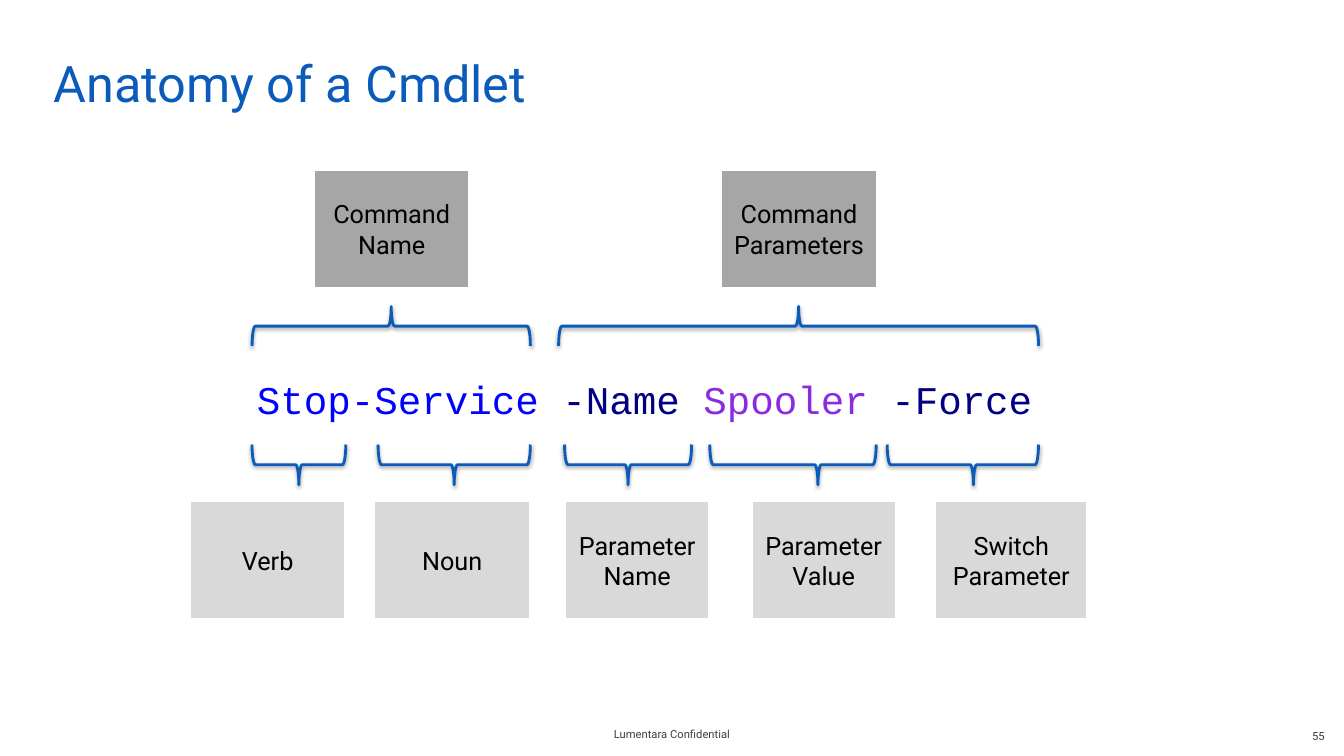
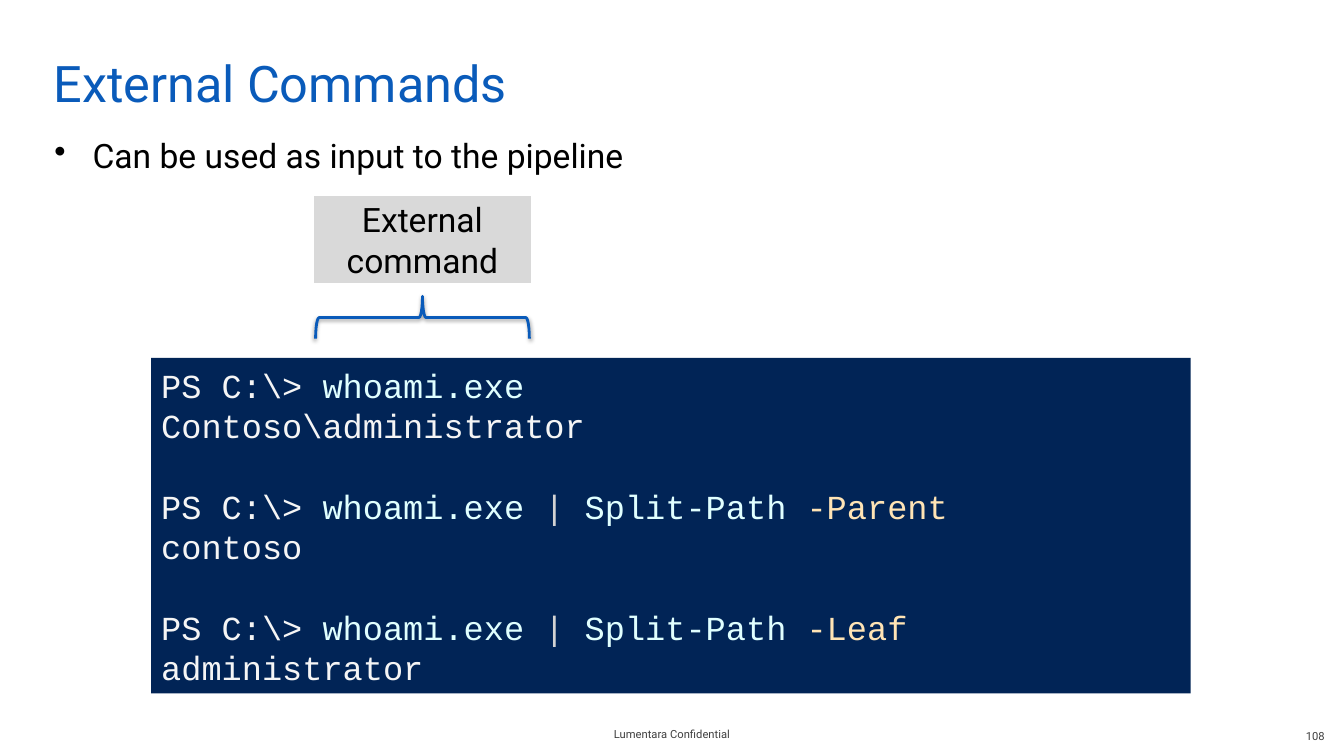
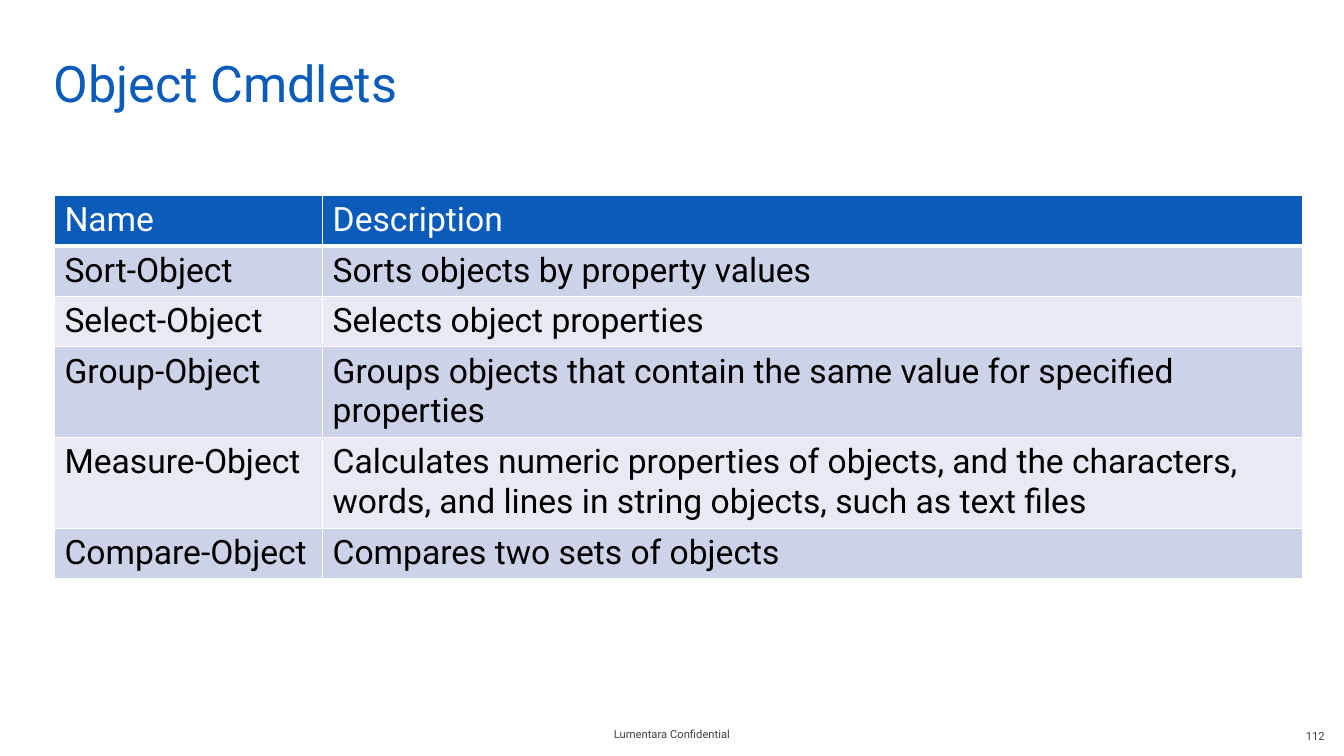
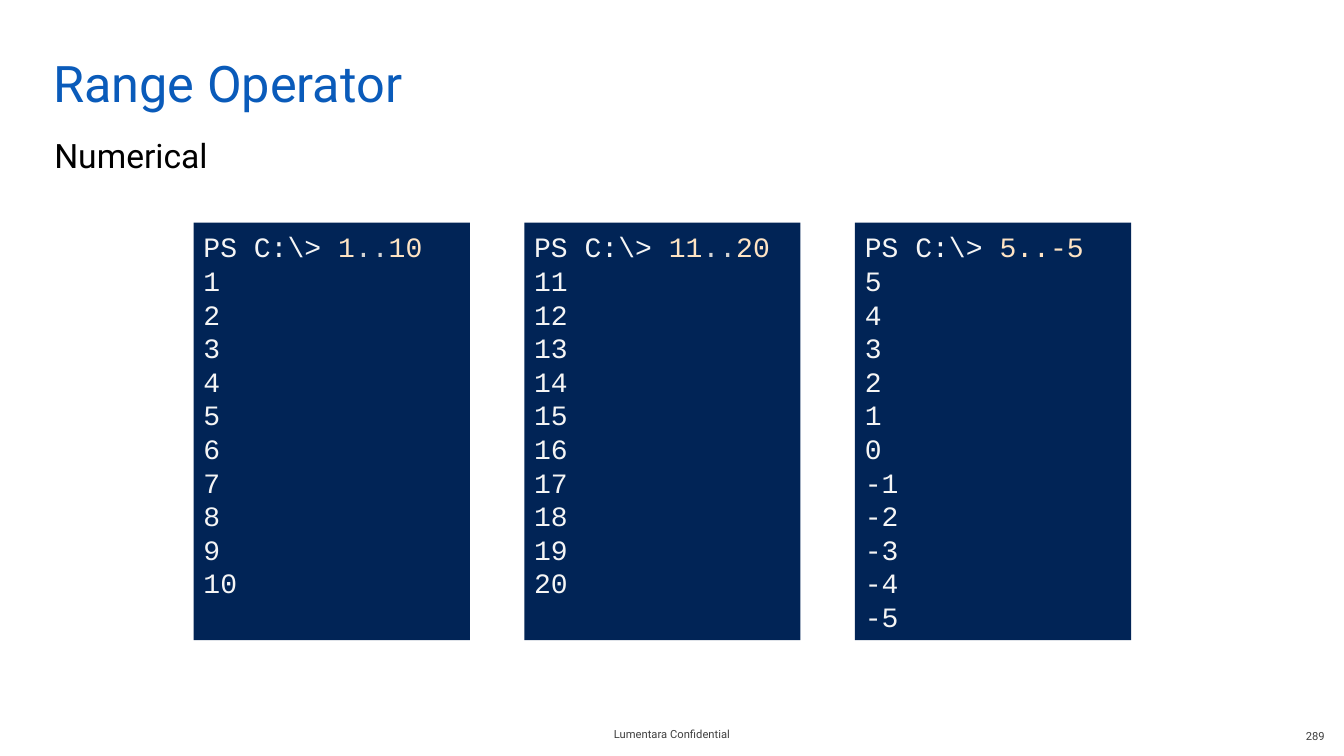
from pptx import Presentation
from pptx.dml.color import RGBColor
from pptx.enum.shapes import MSO_SHAPE
from pptx.enum.text import MSO_ANCHOR, PP_ALIGN
from pptx.oxml import parse_xml
from pptx.oxml.ns import nsdecls
from pptx.util import Pt

PX = 9144  # one px is a hundredth of an inch

BLUE = RGBColor(0x0A, 0x5B, 0xBA)
WHITE = RGBColor(0xFF, 0xFF, 0xFF)
BLACK = RGBColor(0x00, 0x00, 0x00)
SLATE = RGBColor(0x3F, 0x3F, 0x3F)
PALE = RGBColor(0xD9, 0xD9, 0xD9)
GREY = RGBColor(0xA6, 0xA6, 0xA6)
BAND = RGBColor(0xCC, 0xD2, 0xE7)
LIGHT = RGBColor(0xE7, 0xEA, 0xF3)
# Code colours
VERB = RGBColor(0x00, 0x00, 0xFF)
PARAM = RGBColor(0x00, 0x00, 0x80)
VALUE = RGBColor(0x8A, 0x2B, 0xE2)
NAVY = RGBColor(0x01, 0x24, 0x56)
SMOKE = RGBColor(0xF5, 0xF5, 0xF5)
CYAN = RGBColor(0xE0, 0xFF, 0xFF)
PIPE = RGBColor(0xD3, 0xD3, 0xD3)
SWITCH = RGBColor(0xFF, 0xE4, 0xB5)
NUMBER = RGBColor(0xFF, 0xE4, 0xC4)

SANS, MONO = "Roboto", "Courier New"
PROMPT = ("PS C:\\> ", SMOKE)
TOP, MID = MSO_ANCHOR.TOP, MSO_ANCHOR.MIDDLE
LEFT, CENTER, RIGHT = PP_ALIGN.LEFT, PP_ALIGN.CENTER, PP_ALIGN.RIGHT


def scale(*box):
    return [round(v * PX) for v in box]


def apply(item, form):
    for key, val in form.items():
        setattr(item, key, val)


def write(para, runs, size, face=SANS, **form):
    """Fill a paragraph with (text, colour) runs."""
    apply(para, form)
    for text, color in runs:
        run = para.add_run()
        run.text = text
        apply(run.font, {"name": face, "size": Pt(size), "bold": False})
        run.font.color.rgb = color


def frame(shape, inset=(10, 5, 10, 5), anchor=TOP):
    """Set the margins (left, top, right, bottom) and anchor."""
    sides = ("margin_left", "margin_top", "margin_right", "margin_bottom")
    text = shape.text_frame
    apply(text, dict(zip(sides, scale(*inset))))
    apply(text, {"word_wrap": True, "vertical_anchor": anchor})
    return text


def label(slide, box, runs, size, face=SANS, align=LEFT, **form):
    """Add a text box with one paragraph."""
    shape = slide.shapes.add_textbox(*scale(*box))
    para = frame(shape, **form).paragraphs[0]
    write(para, runs, size, face, alignment=align)
    return para


def block(slide, box, fill, line=None):
    shape = slide.shapes.add_shape(MSO_SHAPE.RECTANGLE, *scale(*box))
    shape.shadow.inherit = False
    shape.fill.solid()
    shape.fill.fore_color.rgb = fill
    if line is None:
        shape.line.fill.background()
    else:
        shape.line.color.rgb = line
        shape.line.width = Pt(2)
    return shape


def card(slide, box, text, fill=PALE, size=18):
    shape = block(slide, box, fill, WHITE)
    para = frame(shape, anchor=MID).paragraphs[0]
    write(para, [(text, BLACK)], size, alignment=CENTER)


def brace(slide, box, up=True, tip=0.5):
    """Lay a brace across the box, its tip pointing up or down."""
    left, top, wide, high = box
    turned = (left + (wide - high) / 2, top + (high - wide) / 2, high, wide)
    shape = slide.shapes.add_shape(MSO_SHAPE.LEFT_BRACE, *scale(*turned))
    shape.rotation = 90 if up else 270
    shape.adjustments[1] = tip
    shape.fill.background()
    shape.line.color.rgb = BLUE
    shape.line.width = Pt(2)
    shape._element.spPr.append(parse_xml(
        f'<a:effectLst {nsdecls("a")}><a:outerShdw blurRad="39370" '
        'dist="20320" dir="5400000" rotWithShape="0"><a:srgbClr val="000000">'
        '<a:alpha val="38000"/></a:srgbClr></a:outerShdw></a:effectLst>'))


def console(slide, box, groups, size):
    """Show groups of code lines, one line of space between groups."""
    pitch = Pt(size * 1.2)
    text = frame(block(slide, box, NAVY), (10, 7, 10, 5))
    para = text.paragraphs[0]
    for g, group in enumerate(groups):
        for n, runs in enumerate(group):
            if g or n:
                para = text.add_paragraph()
            gap = pitch if g and not n else 0
            write(para, runs, size, MONO, alignment=LEFT,
                  line_spacing=pitch, space_before=gap)


def border(cell, base):
    props = cell._tc.get_or_add_tcPr()
    for side in "LRTB":
        width = Pt(base if side == "B" else 1)
        props.append(parse_xml(
            f'<a:ln{side} {nsdecls("a")} w="{width}"><a:solidFill>'
            f'<a:srgbClr val="{WHITE}"/></a:solidFill></a:ln{side}>'))


def grid(slide, left, top, cols, rows, highs):
    """Place a table with a header row and banded rows."""
    box = scale(left, top, sum(cols), sum(highs))
    table = slide.shapes.add_table(len(rows), len(cols), *box).table
    for col, wide in zip(table.columns, cols):
        col.width = wide * PX
    for r, (row, high) in enumerate(zip(rows, highs)):
        table.rows[r].height = high * PX
        fill = BLUE if r == 0 else BAND if r % 2 else LIGHT
        for c, text in enumerate(row):
            cell = table.cell(r, c)
            border(cell, 1 if r else 3)
            cell.fill.solid()
            cell.fill.fore_color.rgb = fill
            color = BLACK if r else WHITE
            write(cell.text_frame.paragraphs[0], [(text, color)], 24)


def body(slide, text, bullet=False):
    para = label(slide, (44, 129, 1222, 50), [(text, BLACK)], 24)
    if bullet:
        props = para._p.get_or_add_pPr()
        props.set("marL", str(38 * PX))
        props.set("indent", str(-38 * PX))
        props.append(parse_xml(f'<a:buChar {nsdecls("a")} char="•"/>'))


def page(deck, title, number):
    """Start a slide with its title, footer and page number."""
    slide = deck.slides.add_slide(deck.slide_layouts[6])
    label(slide, (33, 37, 1233, 75), [(title, BLUE)], 36,
          inset=(20, 15, 10, 5))
    foot = {"inset": (20, 5, 20, 5), "anchor": MID}
    label(slide, (511, 708, 311, 40), [("Lumentara Confidential", SLATE)], 8,
          align=CENTER, **foot)
    label(slide, (1023, 710, 311, 40), [(str(number), SLATE)], 8,
          align=RIGHT, **foot)
    return slide


def anatomy(deck):
    slide = page(deck, "Anatomy of a Cmdlet", 55)
    label(slide, (245, 367, 835, 61),
          [("Stop-Service ", VERB), ("-Name ", PARAM),
           ("Spooler ", VALUE), ("-Force", PARAM)], 28, MONO)
    # Upper cards: text, brace left and width
    for text, left, wide in (("Command Name", 250, 276),
                             ("Command Parameters", 554, 476)):
        brace(slide, (left, 304, wide, 39))
        card(slide, (left + wide // 2 - 77, 168, 155, 118), text, GREY)
    # Lower cards: text, card left and width, brace left, width and tip
    for text, left, wide, start, span, tip in (
            ("Verb", 188, 155, 250, 93, 0.5),
            ("Noun", 371, 155, 375, 151, 0.5),
            ("Parameter Name", 560, 144, 560, 126, 0.5),
            ("Parameter Value", 745, 144, 704, 165, 0.65),
            ("Switch Parameter", 927, 152, 880, 150, 0.57)):
        brace(slide, (start, 441, span, 40), False, tip)
        card(slide, (left, 497, wide, 118), text)


def external(deck):
    slide = page(deck, "External Commands", 108)
    body(slide, "Can be used as input to the pipeline", True)
    card(slide, (310, 193, 218, 89), "External command", size=24)
    brace(slide, (313, 294, 212, 42))
    groups = [[[PROMPT, ("whoami.exe", CYAN)],
               [("Contoso\\administrator", SMOKE)]]]
    for switch, result in (("-Parent", "contoso"),
                           ("-Leaf", "administrator")):
        groups.append([[PROMPT, ("whoami.exe ", CYAN), ("| ", PIPE),
                        ("Split-Path ", CYAN), (switch, SWITCH)],
                       [(result, SMOKE)]])
    console(slide, (150, 355, 1031, 333), groups, 24)


def objects(deck):
    slide = page(deck, "Object Cmdlets", 112)
    rows = [
        ("Name", "Description"),
        ("Sort-Object", "Sorts objects by property values"),
        ("Select-Object", "Selects object properties"),
        ("Group-Object", "Groups objects that contain the same value for "
                         "specified properties"),
        ("Measure-Object", "Calculates numeric properties of objects, and "
                           "the characters, words, and lines in string "
                           "objects, such as text files"),
        ("Compare-Object", "Compares two sets of objects"),
    ]
    grid(slide, 54, 194, (266, 972), rows, (49, 49, 49, 88, 88, 49))


def ranges(deck):
    slide = page(deck, "Range Operator", 289)
    body(slide, "Numerical")
    for n, (first, last, dots) in enumerate(
            ((1, 10, PIPE), (11, 20, PIPE), (5, -5, NUMBER))):
        step = 1 if last > first else -1
        lines = [[PROMPT, (str(first), NUMBER), ("..", dots),
                  (str(last), NUMBER)]]
        lines += [[(str(v), SMOKE)] for v in range(first, last + step, step)]
        console(slide, (192 + 328 * n, 221, 274, 414), [lines], 20)


def main():
    deck = Presentation()
    apply(deck, {"slide_width": 1333 * PX, "slide_height": 750 * PX})
    for build in (anatomy, external, objects, ranges):
        build(deck)
    deck.save("out.pptx")


if __name__ == "__main__":
    main()
